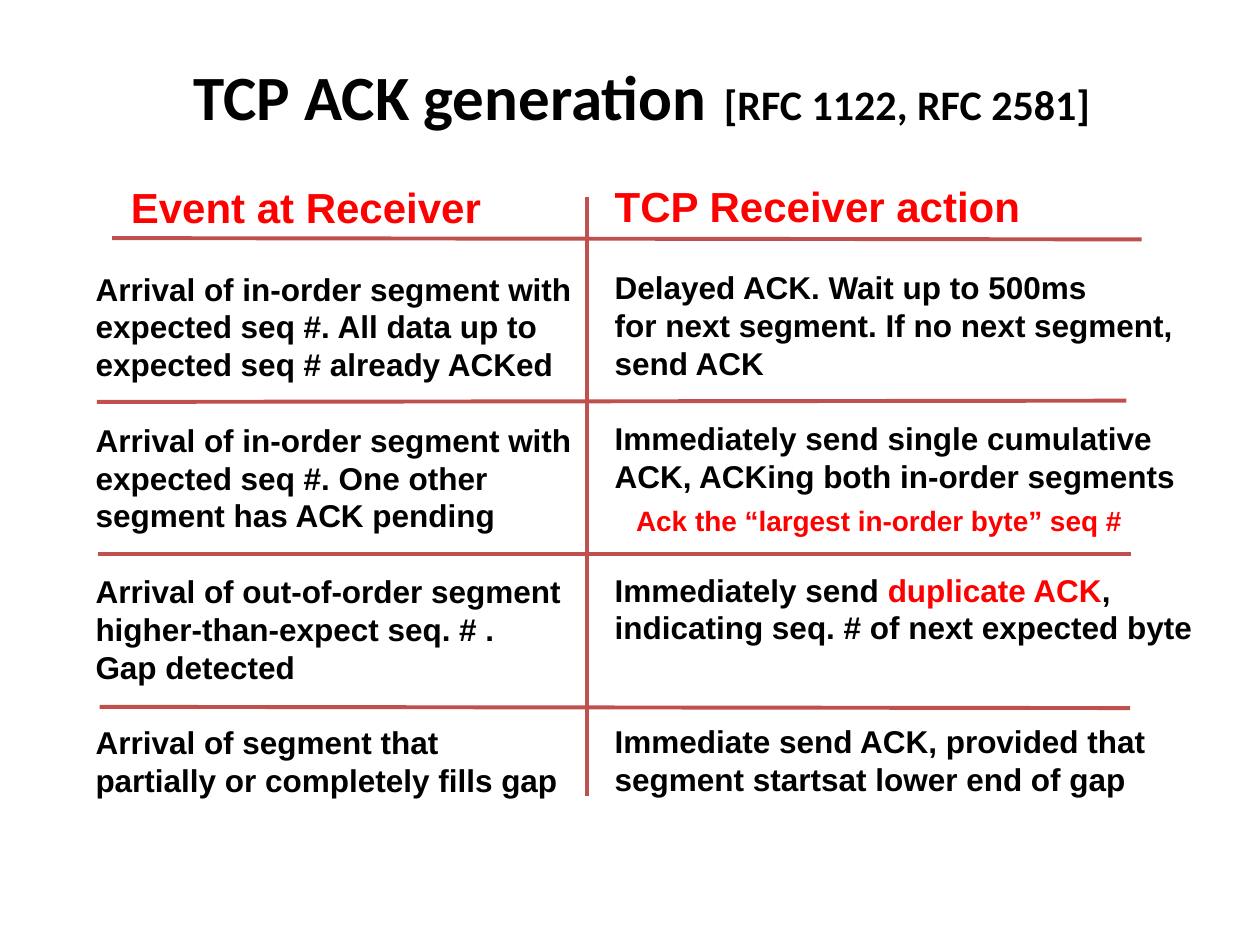
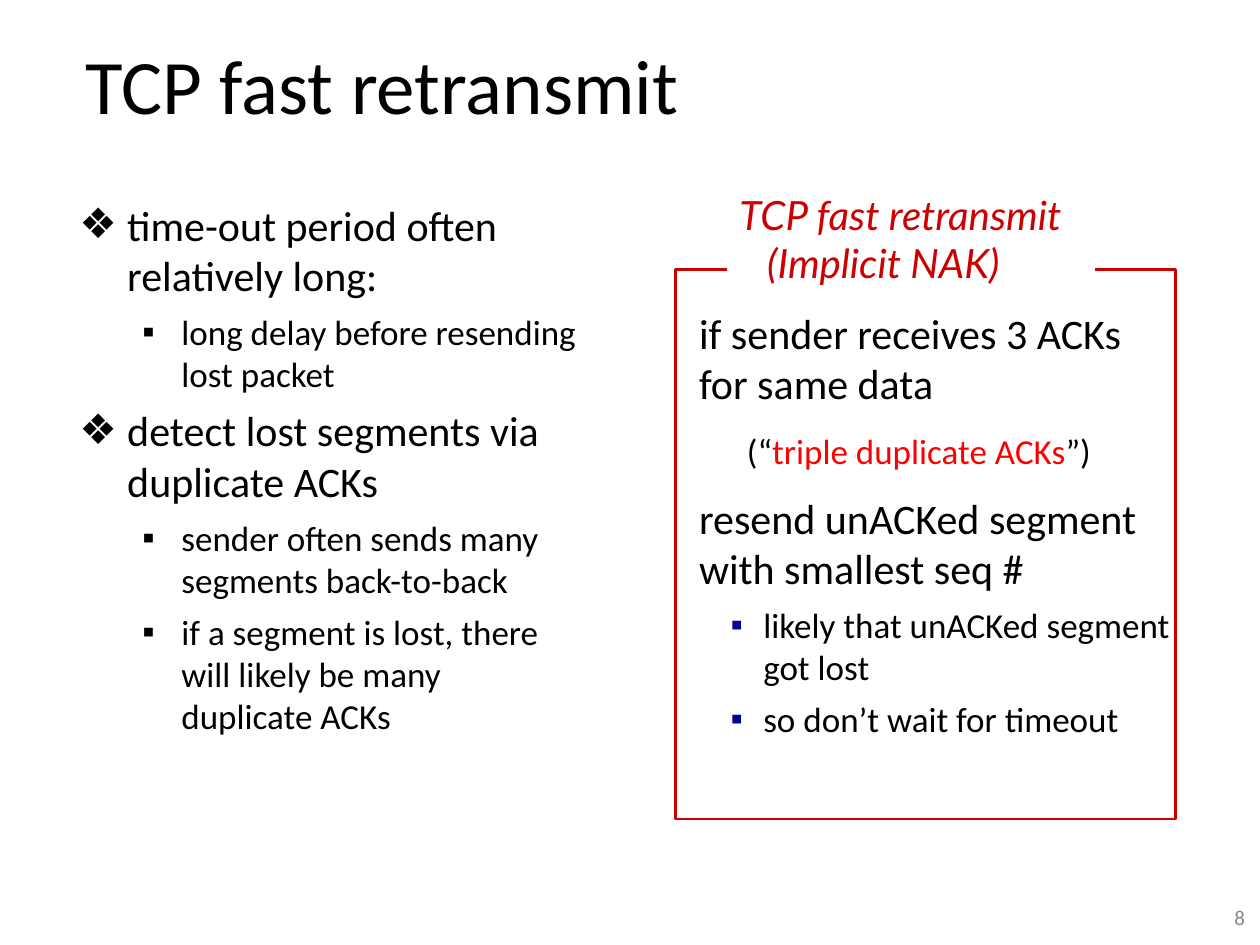
from lxml import etree
from pptx import Presentation
from pptx import util as u
from pptx.dml.color import RGBColor
from pptx.enum import shapes, text
from pptx.oxml import ns

BLACK, WHITE, RED, RULE, FRAME, NAVY, GREY = (
    "000000", "FFFFFF", "FF0000", "C0504D", "CC0000", "000099", "898989")
LINE_FACTOR = 1.2
ROW_LINES = 3
CELL_SIZE = 18

ACK_TITLE = [("TCP ACK generation", 36), (" ", 44), ("[RFC 1122, RFC 2581]", 24)]
ACK_COLUMNS = [
    {"at": (0.66, 1.39, 4.05, 5.6), "heading": "Event at Receiver", "indent": 0.28, "cells": [
        ["Arrival of in-order segment with", "expected seq #. All data up to",
         "expected seq # already ACKed"],
        ["Arrival of in-order segment with", "expected seq #. One other",
         "segment has ACK pending"],
        ["Arrival of out-of-order segment", "higher-than-expect seq. # .", "Gap detected"],
        ["Arrival of segment that", "partially or completely fills gap"]]},
    {"at": (4.78, 1.38, 4.88, 5.6), "heading": "TCP Receiver action", "indent": 0, "cells": [
        ["Delayed ACK. Wait up to 500ms", "for next segment. If no next segment,", "send ACK"],
        ["Immediately send single cumulative", "ACK, ACKing both in-order segments"],
        ["Immediately send |duplicate ACK|,", "indicating seq. # of next expected byte"],
        ["Immediate send ACK, provided that", "segment startsat lower end of gap"]]},
]
ACK_NOTE = "|Ack the “largest in-order byte” seq #|"
ACK_RULES = [
    (0.89, 1.89, 9.06, 1.9), (0.77, 3.19, 8.94, 3.18), (0.78, 4.4, 8.98, 4.4),
    (0.79, 5.61, 8.97, 5.62), (4.66, 1.56, 4.66, 6.32)]

RETRANSMIT_TITLE = [("TCP fast retransmit", 44)]
TOPIC = {"size": 24, "before": 6, "indent": 0.38, "hanging": 0.38, "bullet": "❖"}
DETAIL = {"size": 20, "before": 6, "indent": 0.81, "hanging": 0.31, "bullet": "▪", "level": 1}
STEP = {"size": 24, "before": 6}
ASIDE = {"size": 20, "before": 12, "indent": 0.38}
NEXT_STEP = {"size": 24, "before": 12}
REASON = {**DETAIL, "indent": 0.51, "hanging": 0.26, "bullet_color": NAVY}
REASONS_TO_RETRANSMIT = [
    ("time-out period often relatively long:", TOPIC),
    ("long delay before resending lost packet", DETAIL),
    ("detect lost segments via duplicate ACKs", TOPIC),
    ("sender often sends many segments back-to-back", DETAIL),
    ("if a segment is lost, there will likely be many duplicate ACKs", DETAIL)]
RETRANSMIT_RULE = [
    ("if sender receives 3 ACKs for same data", STEP),
    ("(“|triple duplicate ACKs|”)", ASIDE),
    ("resend unACKed segment with smallest seq #", NEXT_STEP),
    ("likely that unACKed segment got lost", REASON),
    ("so don’t wait for timeout", REASON)]
PANEL_HEADING = [("TCP fast retransmit", 0), ("(Implicit NAK)", 0.22)]


def color(value):
    return RGBColor.from_string(value)


def inches(values):
    return [u.Inches(value) for value in values]


def place(shape, box):
    shape.left, shape.top, shape.width, shape.height = inches(box)


def add_run(paragraph, words, size, name="Calibri", fill=BLACK, bold=False, italic=False):
    run = paragraph.add_run()
    run.text = words
    font = run.font
    font.size, font.name, font.bold, font.italic = u.Pt(size), name, bold, italic
    font.color.rgb = color(fill)


def add_paragraph(frame, words, size, before=0, line=None, indent=0, hanging=0,
                  bullet=None, bullet_color=BLACK, level=0,
                  align=text.PP_ALIGN.LEFT, **font):
    first = frame.paragraphs[0]
    paragraph = frame.add_paragraph() if first.runs else first
    paragraph.alignment, paragraph.level = align, level
    paragraph.space_before = u.Pt(before)
    if line:
        paragraph.line_spacing = u.Pt(line)
    properties = paragraph._p.get_or_add_pPr()
    properties.set("marL", str(u.Inches(indent)))
    properties.set("indent", str(-u.Inches(hanging)))
    if bullet:
        bullet_fill = etree.SubElement(properties, ns.qn("a:buClr"))
        etree.SubElement(bullet_fill, ns.qn("a:srgbClr"), val=bullet_color)
        etree.SubElement(properties, ns.qn("a:buFont"), typeface="Arial")
        etree.SubElement(properties, ns.qn("a:buChar"), char=bullet)
    for index, part in enumerate(words.split("|")):
        if part:
            add_run(paragraph, part, size, **{**font, **({"fill": RED} if index % 2 else {})})


def add_text_box(slide, box, wrap=False):
    frame = slide.shapes.add_textbox(*inches(box)).text_frame
    frame.word_wrap = wrap
    return frame


def add_rectangle(slide, box, fill=None, outline=None, wrap=True):
    shape = slide.shapes.add_shape(shapes.MSO_SHAPE.RECTANGLE, *inches(box))
    shape.shadow.inherit = False
    if fill:
        shape.fill.solid()
        shape.fill.fore_color.rgb = color(fill)
    else:
        shape.fill.background()
    if outline:
        shape.line.color.rgb = color(outline)
        shape.line.width = u.Pt(1.5)
    else:
        shape.line.fill.background()
    frame = shape.text_frame
    frame.word_wrap = wrap
    frame.vertical_anchor = text.MSO_ANCHOR.TOP
    return frame


def add_rule(slide, ends):
    rule = slide.shapes.add_connector(shapes.MSO_CONNECTOR.STRAIGHT, *inches(ends))
    rule.line.color.rgb = color(RULE)
    rule.line.width = u.Pt(2.25)
    etree.SubElement(rule._element.spPr, ns.qn("a:effectLst"))


def add_slide(presentation, layout, title_runs, box, align, bold=False):
    slide = presentation.slides.add_slide(presentation.slide_layouts[layout])
    title = slide.shapes.title
    place(title, box)
    frame = title.text_frame
    frame.auto_size = text.MSO_AUTO_SIZE.NONE
    frame.vertical_anchor = text.MSO_ANCHOR.MIDDLE
    paragraph = frame.paragraphs[0]
    paragraph.alignment = align
    for words, size in title_runs:
        add_run(paragraph, words, size, bold=bold)
    return slide


def add_column(slide, column):
    frame = add_text_box(slide, column["at"])
    add_paragraph(frame, column["heading"], 24, line=24 * LINE_FACTOR, indent=column["indent"],
                  name="Arial", fill=RED, bold=True)
    pitch = CELL_SIZE * LINE_FACTOR
    missing_lines = 0
    for lines in column["cells"]:
        for index, line in enumerate(lines):
            before = 0 if index else (1 + missing_lines) * pitch
            add_paragraph(frame, line, CELL_SIZE, before, pitch, name="Arial", bold=True)
        missing_lines = ROW_LINES - len(lines)


def build_ack_generation(presentation):
    slide = add_slide(presentation, 5, ACK_TITLE, (0.58, 0.25, 9.03, 0.93),
                      text.PP_ALIGN.CENTER, bold=True)
    for column in ACK_COLUMNS:
        add_column(slide, column)
    for ends in ACK_RULES:
        add_rule(slide, ends)
    note = add_text_box(slide, (4.95, 3.95, 4.15, 0.37))
    add_paragraph(note, ACK_NOTE, 16, name="Arial", bold=True)


def build_fast_retransmit(presentation):
    slide = add_slide(presentation, 1, RETRANSMIT_TITLE, (0.58, 0.17, 5.51, 0.99),
                      text.PP_ALIGN.LEFT)
    body = slide.placeholders[1]
    place(body, (0.53, 1.53, 4.17, 5.08))
    body.text_frame.auto_size = text.MSO_AUTO_SIZE.NONE
    for words, style in REASONS_TO_RETRANSMIT:
        add_paragraph(body.text_frame, words, **style)

    panel = add_rectangle(slide, (5.45, 2.39, 3.97, 4.03), fill=WHITE)
    for words, style in RETRANSMIT_RULE:
        add_paragraph(panel, words, **style)
    add_rectangle(slide, (5.36, 2.14, 3.97, 4.36), outline=FRAME)
    heading = add_rectangle(slide, (5.77, 1.46, 2.92, 0.87), fill=WHITE, wrap=False)
    for words, indent in PANEL_HEADING:
        add_paragraph(heading, words, 23, indent=indent, name="Lato", fill=FRAME, italic=True)

    number = add_text_box(slide, (9.48, 7.07, 0.5, 0.42), wrap=True)
    number.vertical_anchor = text.MSO_ANCHOR.MIDDLE
    add_paragraph(number, "8", 12, align=text.PP_ALIGN.RIGHT, fill=GREY)


def main():
    presentation = Presentation()
    presentation.slide_width, presentation.slide_height = inches((10, 7.5))
    build_ack_generation(presentation)
    build_fast_retransmit(presentation)
    presentation.save("out.pptx")


if __name__ == "__main__":
    main()
